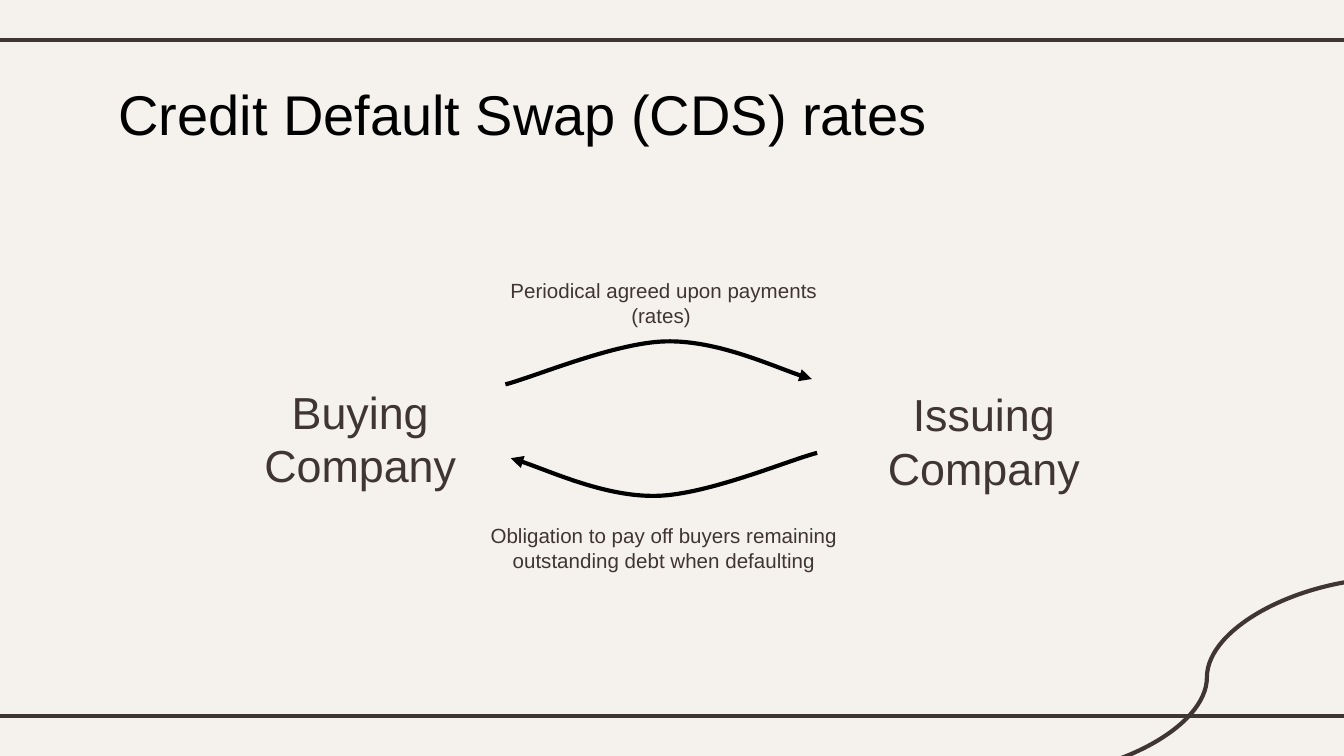
from lxml import etree
from pptx import Presentation
from pptx.dml.color import RGBColor
from pptx.enum.shapes import MSO_CONNECTOR
from pptx.enum.text import MSO_ANCHOR, MSO_AUTO_SIZE, PP_ALIGN
from pptx.oxml.ns import qn
from pptx.util import Inches, Pt

STRAIGHT, CURVE = MSO_CONNECTOR.STRAIGHT, MSO_CONNECTOR.CURVE
LEFT, CENTER = PP_ALIGN.LEFT, PP_ALIGN.CENTER
TOP = MSO_ANCHOR.TOP
NO_AUTOFIT = MSO_AUTO_SIZE.NONE

COLORS = {"background": "F5F2EE", "brown": "3F3533", "black": "000000"}
FONT = "Arial"
LINE_WIDTH = 2.25
COMPARISON_LAYOUT = 4  # one title and four body placeholders

# Start point, then three points for each Bezier segment
SWAP_CURVE = [
    (6.08, 3.37),
    (5.88, 3.42), (5.27, 3.68), (4.89, 3.69),
    (4.51, 3.70), (3.99, 3.46), (3.80, 3.41),
]

# Text, box (left, top, width, height), size
LABELS = [
    ("Issuing Company", (5.96, 2.78, 2.72, 0.55), 24),
    ("Buying Company", (1.32, 2.76, 2.72, 0.55), 24),
    ("Obligation to pay off buyers remaining outstanding debt when defaulting",
     (3.5, 3.79, 2.88, 0.55), 11),
    ("Periodical agreed upon payments (rates) ",
     (3.5, 1.97, 2.88, 0.39), 11),
]


def rgb(name):
    return RGBColor.from_string(COLORS[name])


def style_line(shape, color):
    shape.line.color.rgb = rgb(color)
    shape.line.width = Pt(LINE_WIDTH)


def fill_placeholder(box, text, place, size, color, align):
    box.left, box.top, box.width, box.height = map(Inches, place)
    frame = box.text_frame
    frame.text = text
    frame.word_wrap = True
    frame.auto_size = NO_AUTOFIT
    frame.vertical_anchor = TOP
    frame.margin_left = frame.margin_right = Inches(0.1)
    frame.margin_top = frame.margin_bottom = Inches(0.1)
    para = frame.paragraphs[0]
    properties = para._p.get_or_add_pPr()
    properties.set("marL", "0")
    properties.set("indent", "0")
    etree.SubElement(properties, qn("a:buNone"))
    para.alignment = align
    para.line_spacing = 1.0
    para.space_before = Pt(0)
    font = para.runs[0].font
    font.name, font.size, font.bold = FONT, Pt(size), False
    font.color.rgb = rgb(color)


def add_line(page, kind, start, end):
    line = page.shapes.add_connector(kind, *map(Inches, start + end))
    style_line(line, "brown")
    etree.SubElement(line._element.spPr, qn("a:effectLst"))


def add_curved_arrow(page, points):
    builder = page.shapes.build_freeform(*map(Inches, points[0]))
    builder.add_line_segments(
        [(Inches(x), Inches(y)) for x, y in points[1:]], close=False)
    arrow = builder.convert_to_shape()
    # Merge every three straight segments into one Bezier segment
    outline = next(arrow._element.iter(qn("a:path")))
    segments = outline.findall(qn("a:lnTo"))
    for first in range(0, len(segments), 3):
        bezier = etree.SubElement(outline, qn("a:cubicBezTo"))
        for segment in segments[first:first + 3]:
            bezier.append(segment[0])
            outline.remove(segment)
    arrow.fill.background()
    style_line(arrow, "black")
    arrow.shadow.inherit = False
    etree.SubElement(arrow.line._get_or_add_ln(), qn("a:tailEnd"),
                     type="triangle")
    return arrow


def main():
    deck = Presentation()
    deck.slide_width = Inches(10)
    deck.slide_height = Inches(10 * 9 / 16)
    page = deck.slides.add_slide(deck.slide_layouts[COMPARISON_LAYOUT])
    page.background.fill.solid()
    page.background.fill.fore_color.rgb = rgb("background")

    # Frame lines and corner curve
    for y in (0.3, 5.33):
        add_line(page, STRAIGHT, (-0.08, y), (10.08, y))
    add_line(page, CURVE, (10.37, 4.3), (7.59, 5.78))

    # Title and labels
    title, *bodies = page.placeholders
    fill_placeholder(title, "Credit Default Swap (CDS) rates",
                     (0.78, 0.49, 6.92, 0.63), 30, "black", LEFT)
    for body, (text, place, size) in zip(bodies, LABELS):
        fill_placeholder(body, text, place, size, "brown", CENTER)

    # Obligation arrow, and the payment arrow as its half turn
    add_curved_arrow(page, SWAP_CURVE)
    payment = add_curved_arrow(page, SWAP_CURVE)
    payment.left, payment.top = Inches(3.76), Inches(2.53)
    payment.rotation = 180

    deck.save("out.pptx")


if __name__ == "__main__":
    main()
